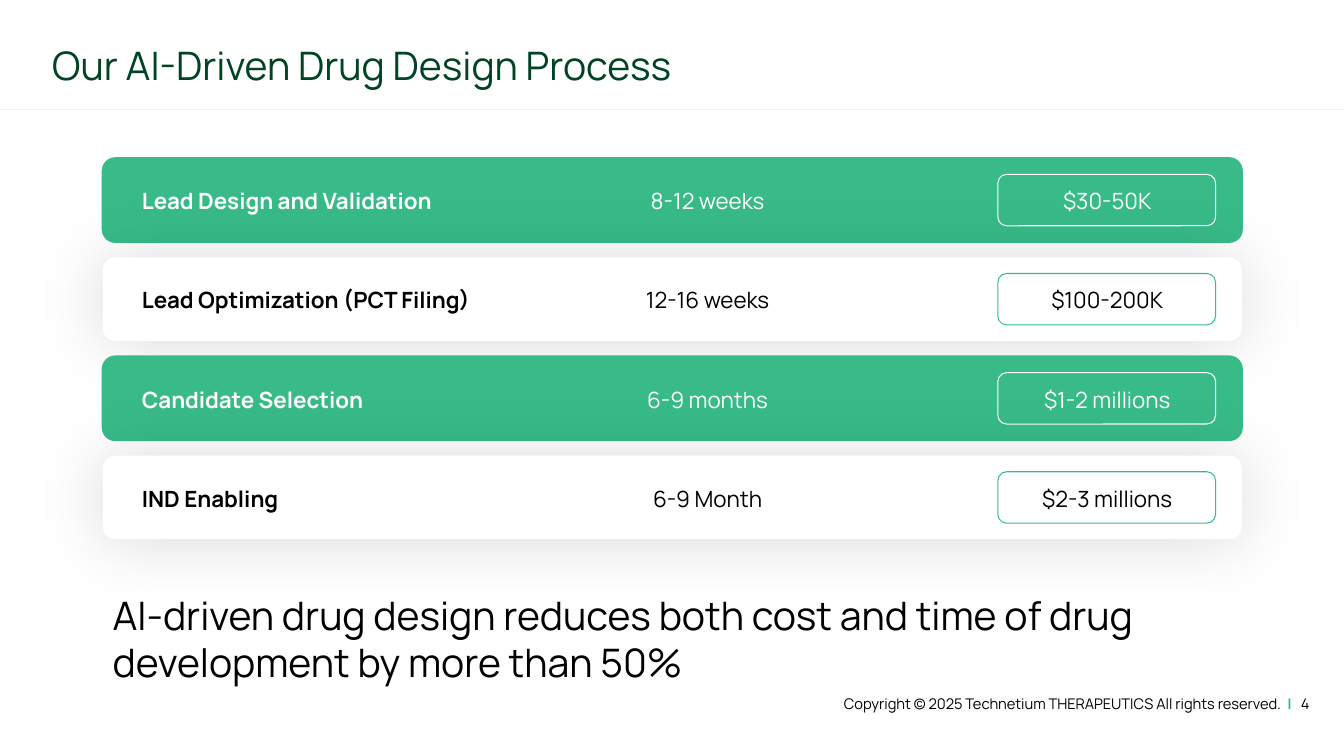
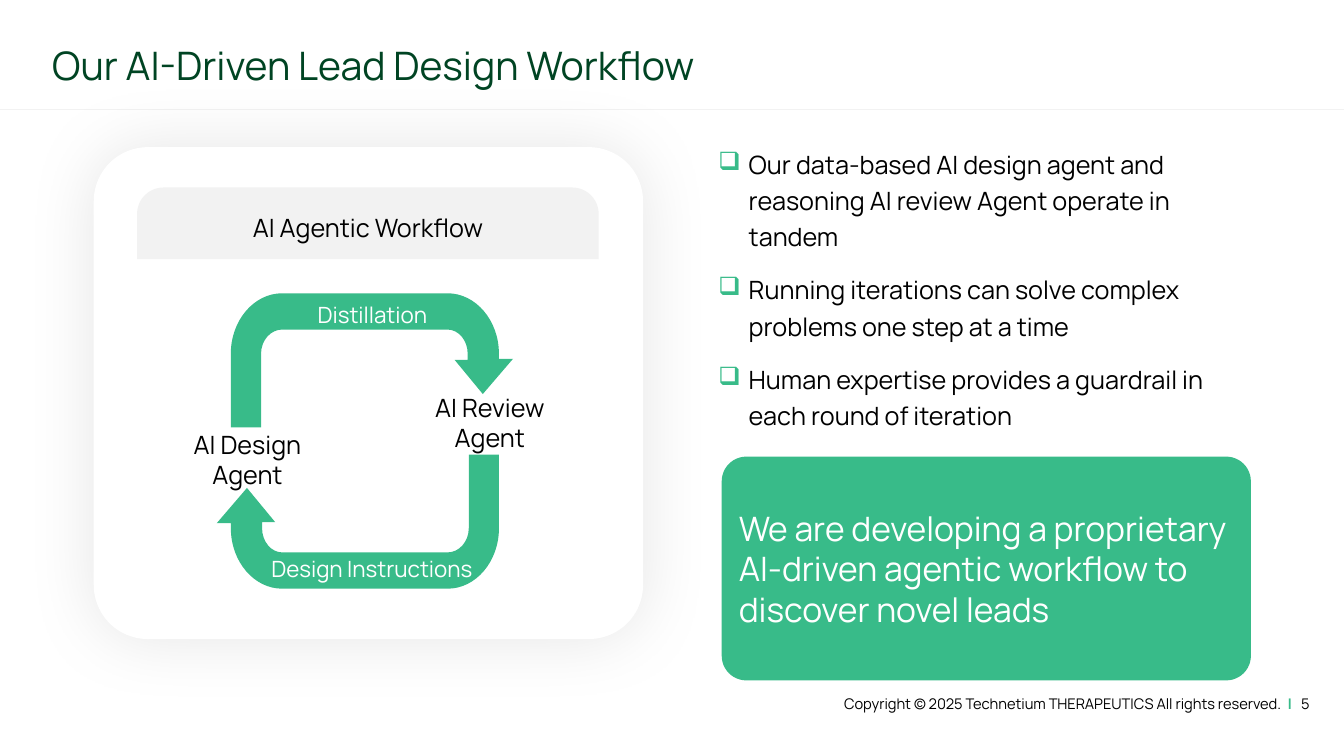
from lxml.etree import SubElement
from pptx import Presentation
from pptx.dml.color import RGBColor
from pptx.enum.shapes import MSO_CONNECTOR as CONNECTOR, MSO_SHAPE as SHAPE
from pptx.enum.text import MSO_ANCHOR as ANCHOR, PP_ALIGN as ALIGN
from pptx.oxml.ns import qn
from pptx.util import Inches, Pt

FONT = "Manrope"
GREEN = RGBColor(0x38, 0xBB, 0x89)
DARK_GREEN = RGBColor(0x00, 0x44, 0x23)
PALE_GREY = RGBColor(0xF2, 0xF2, 0xF2)
BLACK = RGBColor(0x00, 0x00, 0x00)
WHITE = RGBColor(0xFF, 0xFF, 0xFF)

SLIDE_HEIGHT = 7.5
SLIDE_WIDTH = SLIDE_HEIGHT * 16 / 9
COPYRIGHT = "Copyright © 2025 Technetium THERAPEUTICS All rights reserved."

STAGES = [
    ("Lead Design and Validation", "8-12 weeks", "$30-50K"),
    ("Lead Optimization (PCT Filing）", "12-16 weeks", "$100-200K"),
    ("Candidate Selection", "6-9 months", "$1-2 millions"),
    ("IND Enabling", "6-9 Month", "$2-3 millions"),
]
BENEFITS = [
    "Our data-based AI design agent and reasoning AI review Agent operate in tandem",
    "Running iterations can solve complex problems one step at a time",
    "Human expertise provides a guardrail in each round of iteration",
]


def inches(box):
    return [Inches(length) for length in box]


def add_run(paragraph, text, size, color, bold=False):
    run = paragraph.add_run()
    run.text = text
    font = run.font
    font.name, font.size, font.bold = FONT, Pt(size), bold
    font.color.rgb = color
    return run


def write(shape, text, size, color, bold=False, align=ALIGN.LEFT, anchor=ANCHOR.TOP):
    """Put one wrapped paragraph into a shape and return the paragraph."""
    frame = shape.text_frame
    frame.word_wrap = True
    frame.vertical_anchor = anchor
    paragraph = frame.paragraphs[0]
    paragraph.alignment = align
    add_run(paragraph, text, size, color, bold)
    return paragraph


def add_text(slide, box, text, size, color, **style):
    return write(slide.shapes.add_textbox(*inches(box)), text, size, color, **style)


def paint(shape, fill=None, line=None, width=0.75):
    shape.shadow.inherit = False
    if fill is None:
        shape.fill.background()
    else:
        shape.fill.solid()
        shape.fill.fore_color.rgb = fill
    if line is None:
        shape.line.fill.background()
    else:
        shape.line.color.rgb = line
        shape.line.width = Pt(width)


def add_panel(slide, box, radius, kind=SHAPE.ROUNDED_RECTANGLE, **colors):
    panel = slide.shapes.add_shape(kind, *inches(box))
    panel.adjustments[0] = radius
    paint(panel, **colors)
    return panel


def add_glow(shape, opacity):
    """Surround a shape with a soft black shadow; opacity is in percent."""
    effects = shape._element.spPr.find(qn("a:effectLst"))
    glow = SubElement(effects, qn("a:outerShdw"), blurRad=str(Pt(50)), dist="0",
                      dir="0", algn="ctr", rotWithShape="0")
    color = SubElement(glow, qn("a:srgbClr"), val=str(BLACK))
    SubElement(color, qn("a:alpha"), val=str(opacity * 1000))


def add_base_slide(prs, title, number):
    """Add a slide with the shared title, rule and footer."""
    slide = prs.slides.add_slide(prs.slide_layouts[6])
    rule = slide.shapes.add_connector(
        CONNECTOR.STRAIGHT, *inches((0, 1.09, SLIDE_WIDTH, 1.09)))
    rule.line.color.rgb = PALE_GREY
    rule.line.width = Pt(0.75)
    SubElement(rule._element.spPr, qn("a:effectLst"))

    heading = add_text(slide, (0.42, 0.26, 9.76, 0.82), title, 28, DARK_GREEN,
                       anchor=ANCHOR.MIDDLE)
    heading.line_spacing = 0.9

    footer = add_text(slide, (7.52, 6.72, 5.57, 0.52), COPYRIGHT, 10.5, BLACK,
                      align=ALIGN.RIGHT, anchor=ANCHOR.MIDDLE)
    divider = add_run(footer, " | ", 10.5, GREEN, bold=True)
    divider.font._element.set("spc", "220")
    add_run(footer, str(number), 10.5, BLACK)
    return slide


def add_stage(slide, box, stage, highlighted):
    """Draw one row: stage name, duration and cost in its frame."""
    left, top, width, height = box
    name, duration, cost = stage
    ink = WHITE if highlighted else BLACK
    if highlighted:
        add_panel(slide, box, 0.15, fill=GREEN, line=GREEN, width=1.5)
    else:
        add_glow(add_panel(slide, box, 0.15, fill=WHITE), 15)

    text_top, text_height = top + 0.24, 0.37
    add_text(slide, (left + 0.29, text_top, 4.55, text_height), name, 16, ink,
             bold=True)
    for text, x, text_width in ((cost, 9.11, 1.71), (duration, 4.83, 2.34)):
        add_text(slide, (left + x, text_top, text_width, text_height), text, 16, ink,
                 align=ALIGN.CENTER)
    add_panel(slide, (left + width - 2.42, top + 0.16, 2.16, 0.51), 0.17,
              line=WHITE if highlighted else GREEN)


def add_stage_list(slide, box, stages):
    left, top, width, height = box
    row_height = 0.83
    pitch = (height - row_height) / (len(stages) - 1)
    for index, stage in enumerate(stages):
        add_stage(slide, (left, top + index * pitch, width, row_height),
                  stage, highlighted=index % 2 == 0)


def bend(start, corner, end):
    """Control points and end of a quarter ellipse that rounds a corner."""
    near_start, near_end = (
        tuple(p + 0.55 * (c - p) for p, c in zip(point, corner))
        for point in (start, end))
    return [near_start, near_end, end]


def add_outline(slide, left, top, start, segments):
    """Draw a closed outline; one point is a line, three points are a curve."""
    points = [(Inches(left + x), Inches(top + y))
              for segment in segments for x, y in segment]
    builder = slide.shapes.build_freeform(Inches(left + start[0]),
                                          Inches(top + start[1]))
    builder.add_line_segments(points, close=True)
    outline = builder.convert_to_shape()
    steps = iter(list(outline._element.iter(qn("a:lnTo"))))
    for segment in segments:
        first, *others = [next(steps) for _ in segment]
        if others:
            curve = SubElement(first.getparent(), qn("a:cubicBezTo"))
            first.addprevious(curve)
            for step in (first, *others):
                curve.append(step[0])
                step.getparent().remove(step)
    return outline


def add_loop_arrow(slide, left, top, rotation=0):
    """Draw half of the loop: up, across and down into an arrowhead."""
    segments = [
        [(2.5, 1)], [(2.22, 0.66)], [(2.35, 0.66)], [(2.35, 0.6)],
        bend((2.35, 0.6), (2.35, 0.36), (2.15, 0.36)),
        [(0.51, 0.36)],
        bend((0.51, 0.36), (0.3, 0.36), (0.3, 0.6)),
        [(0.3, 1.33)], [(0, 1.33)], [(0, 0.6)],
        bend((0, 0.6), (0, 0), (0.51, 0)),
        [(2.15, 0)],
        bend((2.15, 0), (2.66, 0), (2.66, 0.6)),
        [(2.66, 0.65)],
    ]
    arrow = add_outline(slide, left, top, (2.8, 0.65), segments)
    arrow.rotation = rotation
    paint(arrow, fill=GREEN)


def add_agent_loop(slide, box):
    """Draw the card's header and the two-agent cycle."""
    left, top, width, _ = box
    header = add_panel(slide, (left + 0.43, top + 0.4, width - 0.87, 0.71), 0.37,
                       kind=SHAPE.ROUND_2_SAME_RECTANGLE, fill=PALE_GREY)
    write(header, "AI Agentic Workflow", 18, BLACK,
          align=ALIGN.CENTER, anchor=ANCHOR.MIDDLE)

    add_loop_arrow(slide, left + 1.36, top + 1.45)
    add_loop_arrow(slide, left + 1.22, top + 3.05, rotation=180)
    labels = [
        ("AI Review Agent", 3.13, 2.38, 1.6, 0.66, 18, BLACK),
        ("AI Design Agent", 0.71, 2.75, 1.63, 0.66, 18, BLACK),
        ("Distillation", 1.95, 1.48, 1.63, 0.35, 16, WHITE),
        ("Design Instructions", 1.64, 4, 2.24, 0.35, 16, WHITE),
    ]
    for text, x, y, label_width, height, size, color in labels:
        add_text(slide, (left + x, top + y, label_width, height), text, size, color,
                 align=ALIGN.CENTER)


def add_bullets(slide, box, items):
    frame = slide.shapes.add_textbox(*inches(box)).text_frame
    frame.word_wrap = True
    for index, item in enumerate(items):
        paragraph = frame.add_paragraph() if index else frame.paragraphs[0]
        properties = paragraph._p.get_or_add_pPr()
        properties.set("marL", str(Inches(0.3)))
        properties.set("indent", str(Inches(-0.3)))
        bullet_color = SubElement(properties, qn("a:buClr"))
        SubElement(bullet_color, qn("a:srgbClr"), val=str(GREEN))
        SubElement(properties, qn("a:buFont"), typeface="Wingdings", charset="2")
        SubElement(properties, qn("a:buChar"), char="q")
        paragraph.line_spacing = 1.2
        if index:
            paragraph.space_before = Pt(12)
        add_run(paragraph, item, 18, BLACK)


def add_callout(slide, box, text):
    callout = add_panel(slide, box, 0.11, fill=GREEN)
    write(callout, text, 24, WHITE, anchor=ANCHOR.MIDDLE)


def build_process_slide(prs):
    slide = add_base_slide(prs, "Our AI-Driven Drug Design Process", 4)
    add_stage_list(slide, (1.02, 1.57, 11.3, 3.78), STAGES)
    add_text(slide, (1.02, 5.82, 11.4, 1.04),
             "AI-driven drug design reduces both cost and time of drug "
             "development by more than 50%", 28, BLACK)


def build_workflow_slide(prs):
    slide = add_base_slide(prs, "Our AI-Driven Lead Design Workflow", 5)
    card = (0.93, 1.46, 5.45, 4.88)
    add_glow(add_panel(slide, card, 0.11, fill=WHITE), 9)
    add_bullets(slide, (7.03, 1.37, 5.46, 2.95), BENEFITS)
    add_agent_loop(slide, card)
    add_callout(slide, (7.16, 4.53, 5.25, 2.22),
                "We are developing a proprietary AI-driven agentic workflow "
                "to discover novel leads")


def main():
    prs = Presentation()
    prs.slide_width, prs.slide_height = inches((SLIDE_WIDTH, SLIDE_HEIGHT))
    build_process_slide(prs)
    build_workflow_slide(prs)
    prs.save("out.pptx")


if __name__ == "__main__":
    main()
